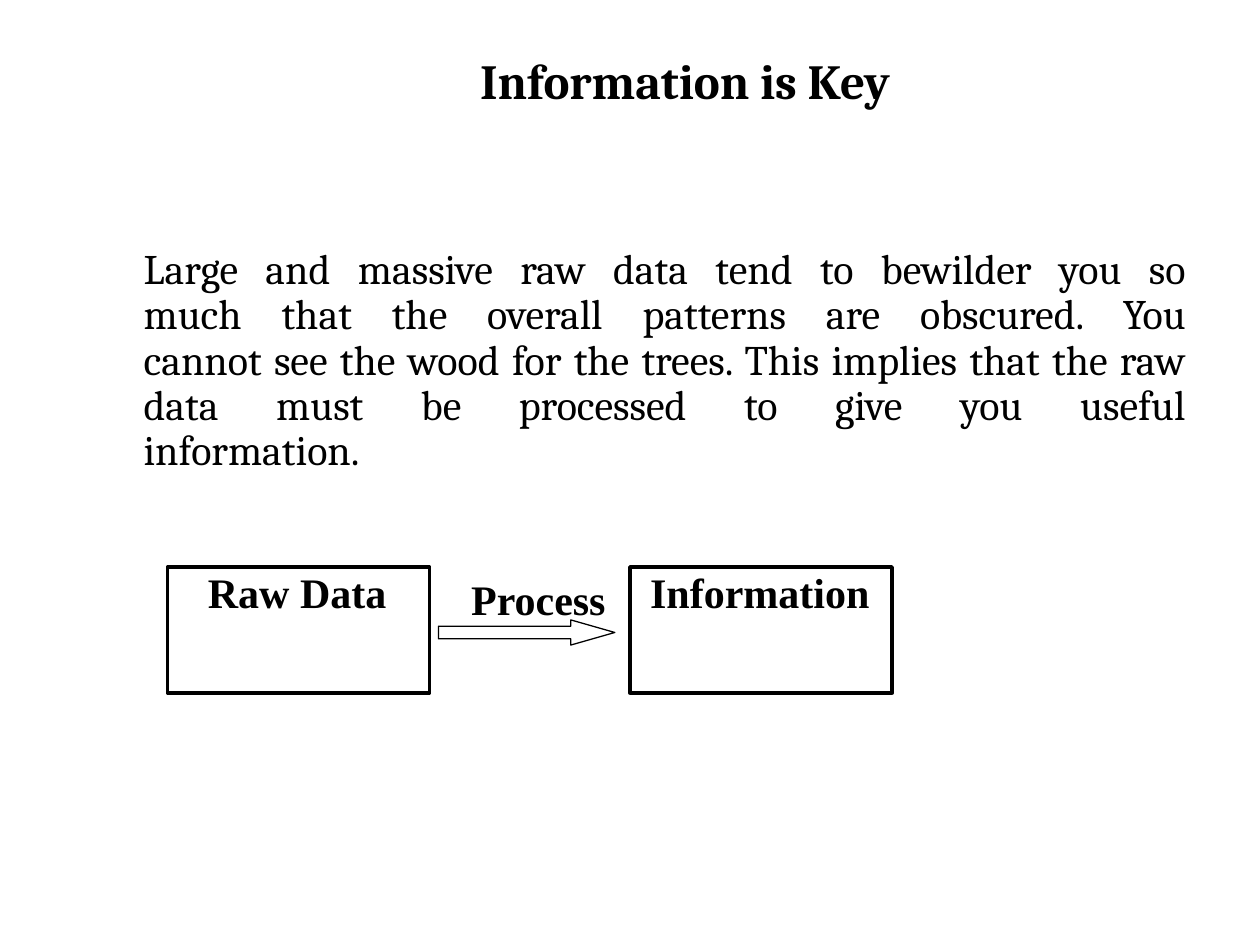
import pptx
import pptx.dml.color
import pptx.enum.shapes
import pptx.enum.text
import pptx.util

Inches = pptx.util.Inches
Pt = pptx.util.Pt
SHAPE = pptx.enum.shapes.MSO_SHAPE
ALIGN = pptx.enum.text.PP_ALIGN
BLACK = "000000"


def rgb(value):
    return pptx.dml.color.RGBColor.from_string(value)


def write(part, text, font, size=24, bold=True, indent=0, top=0,
          align=ALIGN.LEFT, spacing=1.0):
    frame = part.text_frame
    frame.word_wrap = True
    frame.vertical_anchor = pptx.enum.text.MSO_ANCHOR.TOP
    frame.margin_left = Inches(indent)
    frame.margin_top = Inches(top)
    frame.margin_right = frame.margin_bottom = 0
    paragraph = frame.paragraphs[0]
    paragraph.text = text
    paragraph.alignment = align
    paragraph.line_spacing = spacing
    paragraph.font.name = font
    paragraph.font.size = Pt(size)
    paragraph.font.bold = bold
    paragraph.font.color.rgb = rgb(BLACK)


def add_text(slide, box, text, font, **style):
    write(slide.shapes.add_textbox(*map(Inches, box)), text, font, **style)


def add_outline(slide, preset, box, width):
    outline = slide.shapes.add_shape(preset, *map(Inches, box))
    outline.shadow.inherit = False
    outline.fill.background()
    outline.line.color.rgb = rgb(BLACK)
    outline.line.width = Pt(width)
    return outline


def add_title(slide, box):
    add_text(slide, box, "Information is Key", "Cambria", size=28,
             indent=1.07, top=0.3)


def add_explanation(slide, box):
    lines = (
        "Large and massive raw data tend to bewilder you so",
        "much that the overall patterns are obscured. You",
        "cannot see the wood for the trees. This implies that the raw",
        "data must be processed to give you useful",
        "information.",
    )
    add_text(slide, box, "\v".join(lines), "Cambria", bold=False,
             indent=0.01, align=ALIGN.JUSTIFY, spacing=0.9)


def add_process_flow(slide, box):
    left, top, width, height = box
    stage_width = 2.08
    stages = (
        ("Raw Data", left, 0.32),
        ("Information", left + width - stage_width, 0.16),
    )
    for label, stage_left, indent in stages:
        stage = add_outline(slide, SHAPE.RECTANGLE,
                            (stage_left, top, stage_width, height), 2)
        write(stage, label, "Times New Roman", indent=indent)

    arrow_left = left + stage_width + 0.07
    arrow = add_outline(slide, SHAPE.RIGHT_ARROW,
                        (arrow_left, top + 0.42, 1.4, 0.2), 0.75)
    arrow.adjustments[0] = 0.5
    arrow.adjustments[1] = 1.75
    add_text(slide, (arrow_left + 0.25, top + 0.05, 1.1, 0.36), "Process",
             "Times New Roman", indent=0.01)


def main():
    deck = pptx.Presentation()
    deck.slide_width = Inches(10)
    deck.slide_height = Inches(7.5)
    slide = deck.slides.add_slide(deck.slide_layouts[6])
    add_title(slide, (2.74, 0.1, 4.51, 0.88))
    add_explanation(slide, (1.13, 1.97, 8.28, 1.8))
    add_process_flow(slide, (1.33, 4.5, 5.75, 1))
    deck.save("out.pptx")


if __name__ == "__main__":
    main()
